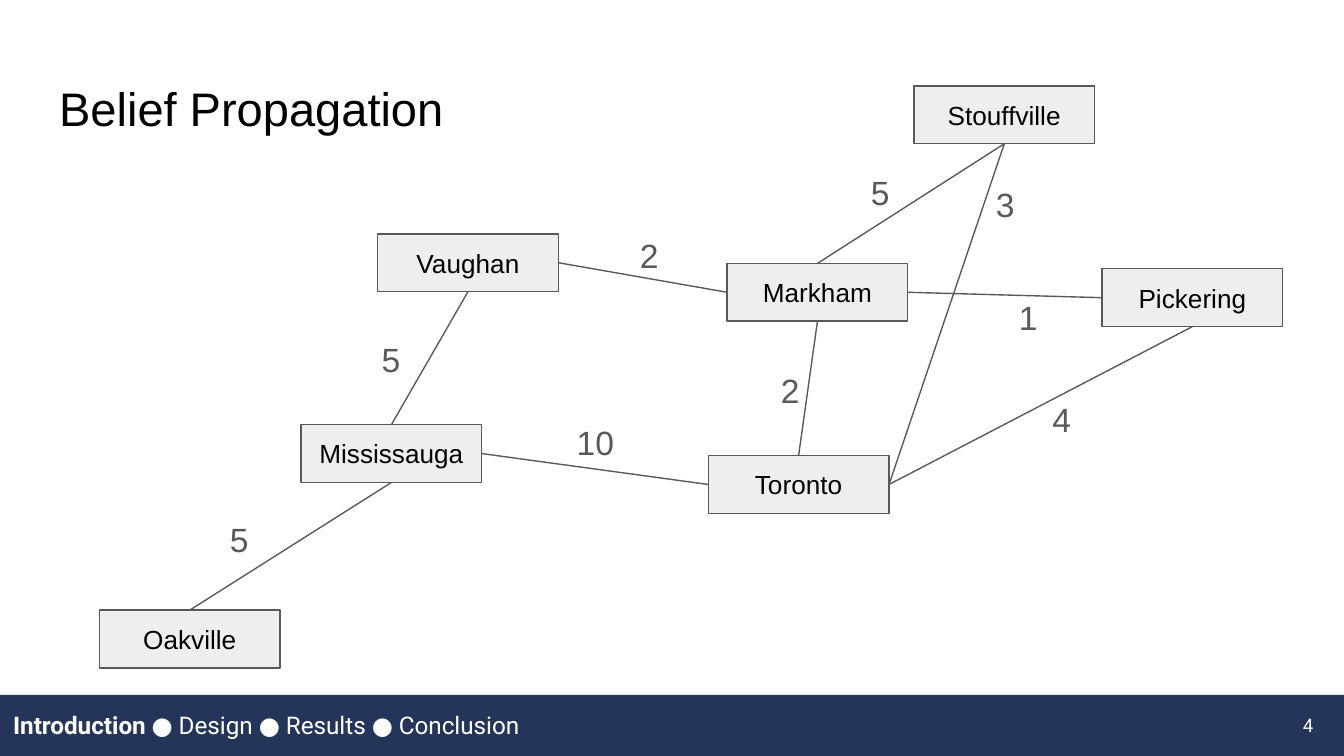
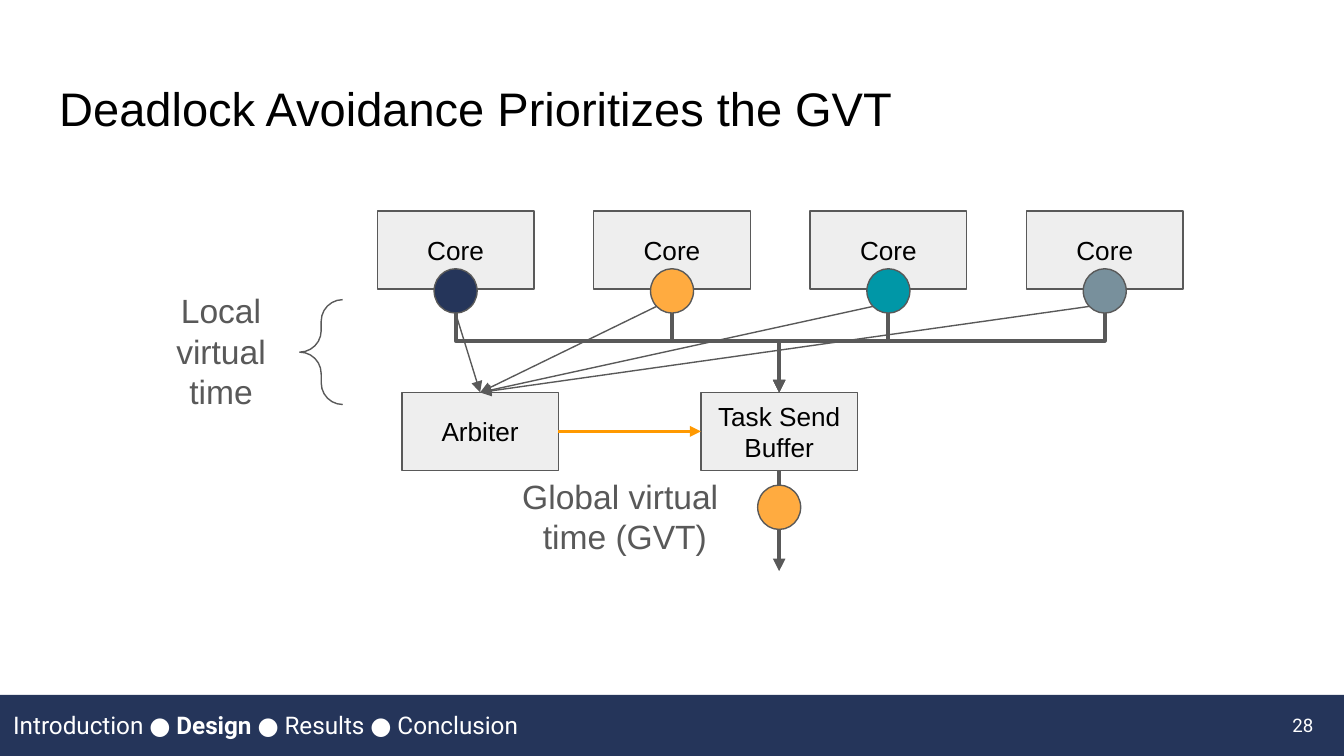
from pptx import Presentation
from pptx.dml.color import RGBColor
from pptx.enum import shapes, text
from pptx.oxml import parse_xml
from pptx.oxml.ns import nsdecls, qn
from pptx.util import Inches, Pt

# Grid: 100 columns and 56.25 rows of a tenth of an inch
COLUMNS, ROWS = 100, 56.25

NAVY = RGBColor(0x25, 0x35, 0x5A)
ORANGE = RGBColor(0xFF, 0xAB, 0x40)
TEAL = RGBColor(0x00, 0x97, 0xA7)
SLATE = RGBColor(0x78, 0x90, 0x9C)
ARROW_ORANGE = RGBColor(0xFF, 0x99, 0x00)
GRAY = RGBColor(0x59, 0x59, 0x59)
PALE = RGBColor(0xEE, 0xEE, 0xEE)
BLACK = RGBColor(0, 0, 0)
WHITE = RGBColor(0xFF, 0xFF, 0xFF)

LEFT, CENTER, RIGHT = text.PP_ALIGN.LEFT, text.PP_ALIGN.CENTER, text.PP_ALIGN.RIGHT
TOP, MIDDLE = text.MSO_ANCHOR.TOP, text.MSO_ANCHOR.MIDDLE
SIDES = {"top": 0, "left": 1, "bottom": 2, "right": 3}
SECTIONS = ["Introduction", "Design", "Results", "Conclusion"]
DOT = (3.2, 3.3)


def grid(*cells):
    return [Inches(cell / 10) for cell in cells]


# Text
def format_text(frame, size, color, font="Arial", align=CENTER, anchor=TOP):
    frame.word_wrap = True
    frame.auto_size = text.MSO_AUTO_SIZE.NONE
    frame.vertical_anchor = anchor
    frame.margin_left = frame.margin_right = Inches(0.1)
    frame.margin_top = frame.margin_bottom = Inches(0.1)
    for para in frame.paragraphs:
        para.alignment = align
        for span in para.runs:
            span.font.name = font
            span.font.size = Pt(size)
            span.font.color.rgb = color


def add_label(page, words, left, top, width=6, height=4.8, size=18, color=GRAY, **style):
    box = page.shapes.add_textbox(*grid(left, top, width, height))
    box.text_frame.text = words
    format_text(box.text_frame, size, color, **style)
    return box


# Shapes
def add_figure(page, kind, left, top, width, height, fill=None, outline=GRAY):
    figure = page.shapes.add_shape(kind, *grid(left, top, width, height))
    figure.shadow.inherit = False
    if fill is None:
        figure.fill.background()
    else:
        figure.fill.solid()
        figure.fill.fore_color.rgb = fill
    if outline is None:
        figure.line.fill.background()
    else:
        figure.line.color.rgb = outline
        figure.line.width = Pt(0.75)
    return figure


def add_node(page, words, left, top, width, height):
    node = add_figure(page, shapes.MSO_SHAPE.RECTANGLE, left, top, width, height, PALE)
    node.text_frame.text = words
    format_text(node.text_frame, 14, BLACK, anchor=MIDDLE)
    return node


def add_dot(page, center, middle, fill):
    width, height = DOT
    return add_figure(page, shapes.MSO_SHAPE.OVAL, center - width / 2,
                      middle - height / 2, width, height, fill)


# Connectors
def add_line(page, start, end, color=GRAY, weight=0.75, arrow=False,
             kind=shapes.MSO_CONNECTOR.STRAIGHT):
    line = page.shapes.add_connector(kind, *grid(*start, *end))
    line.line.color.rgb = color
    line.line.width = Pt(weight)
    if arrow:
        stroke = line.line._get_or_add_ln()
        stroke.append(parse_xml(f'<a:tailEnd {nsdecls("a")} type="triangle"/>'))
    line.element.spPr.append(parse_xml(f'<a:effectLst {nsdecls("a")}/>'))
    return line


def join(page, first, first_side, second, second_side, **style):
    line = add_line(page, (0, 0), (1, 1), **style)
    line.begin_connect(first, SIDES[first_side])
    line.end_connect(second, SIDES[second_side])
    return line


def add_drop(page, start, end):
    """Elbow arrow that goes down, across and down again."""
    (x1, y1), (x2, y2) = start, end
    center, middle = (x1 + x2) / 2, (y1 + y2) / 2
    run, drop = abs(x2 - x1) / 2, (y2 - y1) / 2
    flip = -1 if x2 > x1 else 1
    line = add_line(page, (center - flip * drop, middle - run),
                    (center + flip * drop, middle + run), weight=2.25,
                    arrow=True, kind=shapes.MSO_CONNECTOR.ELBOW)
    angle = 270 if x2 > x1 else 90
    line.element.spPr.find(qn("a:xfrm")).set("rot", str(angle * 60000))


# Shared page parts
def prepare_layout(deck):
    layout = deck.slide_layouts.get_by_name("Title Only")
    title = layout.placeholders[0]
    title.left, title.top, title.width, title.height = grid(3.4, 4.9, 93.2, 6.3)
    return layout


def add_page(deck, layout, heading, number, active):
    page = deck.slides.add_slide(layout)
    add_figure(page, shapes.MSO_SHAPE.RECTANGLE, 0, 51.7, COLUMNS, ROWS - 51.7, NAVY, None)
    page.shapes.title.text_frame.text = heading
    format_text(page.shapes.title.text_frame, 25.2, BLACK, align=LEFT)

    footer = {"color": WHITE, "font": "Roboto", "anchor": MIDDLE}
    add_label(page, number, 92.7, 51.8, 6, 4.3, 10, align=RIGHT, **footer)
    trail = add_label(page, "", 0, 51.8, 92.7, 4.3)
    para = trail.text_frame.paragraphs[0]
    for section in SECTIONS:
        last = section == SECTIONS[-1]
        span = para.add_run()
        span.text = section if last else section + " "
        span.font.bold = section == active
        if not last:
            para.add_run().text = "● "
    format_text(trail.text_frame, 13, align=LEFT, **footer)
    return page


# Town graph
def build_town_graph(page):
    places = {
        "Mississauga": (22.4, 31.6), "Oakville": (7.4, 45.4),
        "Toronto": (52.7, 33.9), "Markham": (54.1, 19.6),
        "Pickering": (82, 20), "Vaughan": (28.1, 17.4),
        "Stouffville": (68, 6.4),
    }
    towns = {name: add_node(page, name, *place, 13.45, 4.3)
             for name, place in places.items()}
    roads = [
        ("Vaughan", "bottom", "Mississauga", "top", "5", (26.1, 24.2)),
        ("Markham", "right", "Pickering", "left", "1", (73.5, 21.1)),
        ("Vaughan", "right", "Markham", "left", "2", (45.3, 16.5)),
        ("Stouffville", "bottom", "Markham", "top", "5", (62.5, 11.8)),
        ("Markham", "bottom", "Toronto", "top", "2", (55.8, 26.5)),
        ("Stouffville", "bottom", "Toronto", "right", "3", (71.8, 12.7)),
        ("Mississauga", "bottom", "Oakville", "top", "5", (14.8, 37.6)),
        ("Pickering", "bottom", "Toronto", "right", "4", (76, 28.7)),
        ("Toronto", "left", "Mississauga", "right", "10", (41.3, 30.4)),
    ]
    for first, first_side, second, second_side, weight, spot in roads:
        join(page, towns[first], first_side, towns[second], second_side)
        add_label(page, weight, *spot)


# Core and arbiter diagram
def build_arbiter_diagram(page):
    width, height = 11.65, 5.8
    core_top, lower_top = 15.7, 29.2
    core_bottom = core_top + height
    core_colors = [NAVY, ORANGE, TEAL, SLATE]
    centers = [33.9 + 16.1 * index for index in range(len(core_colors))]
    for center in centers:
        add_node(page, "Core", center - width / 2, core_top, width, height)
    send_buffer = add_node(page, "Task Send Buffer", 52.15, lower_top, width, height)
    arbiter = add_node(page, "Arbiter", 29.9, lower_top, width, height)
    buffer_center = 52.15 + width / 2
    arbiter_center = 29.9 + width / 2

    for center in centers:
        add_drop(page, (center, core_bottom), (buffer_center, lower_top))
    output = add_line(page, (buffer_center, 35), (buffer_center, 42.5),
                      weight=2.25, arrow=True)
    output.begin_connect(send_buffer, SIDES["bottom"])
    join(page, arbiter, "right", send_buffer, "left",
         color=ARROW_ORANGE, weight=1.5, arrow=True)

    # Local times report to the arbiter
    dot_middle = core_bottom + 0.15
    for index, (center, color) in enumerate(zip(centers, core_colors)):
        add_dot(page, center, dot_middle, color)
        start = (center - 1.15, dot_middle + 1.15) if index else (center, dot_middle + 1.65)
        report = add_line(page, start, (arbiter_center, lower_top), arrow=True)
        report.end_connect(arbiter, SIDES["top"])
    add_dot(page, buffer_center, 37.75, ORANGE)

    # Captions
    brace = add_figure(page, shapes.MSO_SHAPE.LEFT_BRACE, 22.3, 22.3, 3.2, 7.8)
    brace.adjustments[0] = brace.adjustments[1] = 0.5
    add_label(page, "Local virtual time", 10.6, 20.6, 11.7, 11.1)
    add_label(page, "Global virtual \ntime (GVT)", 35.8, 34.4, 21.4, 4.3)


def main():
    deck = Presentation()
    deck.slide_width, deck.slide_height = grid(COLUMNS, ROWS)
    layout = prepare_layout(deck)
    build_town_graph(add_page(deck, layout, "Belief Propagation", "4", "Introduction"))
    build_arbiter_diagram(add_page(
        deck, layout, "Deadlock Avoidance Prioritizes the GVT", "28", "Design"))
    deck.save("out.pptx")


if __name__ == "__main__":
    main()
